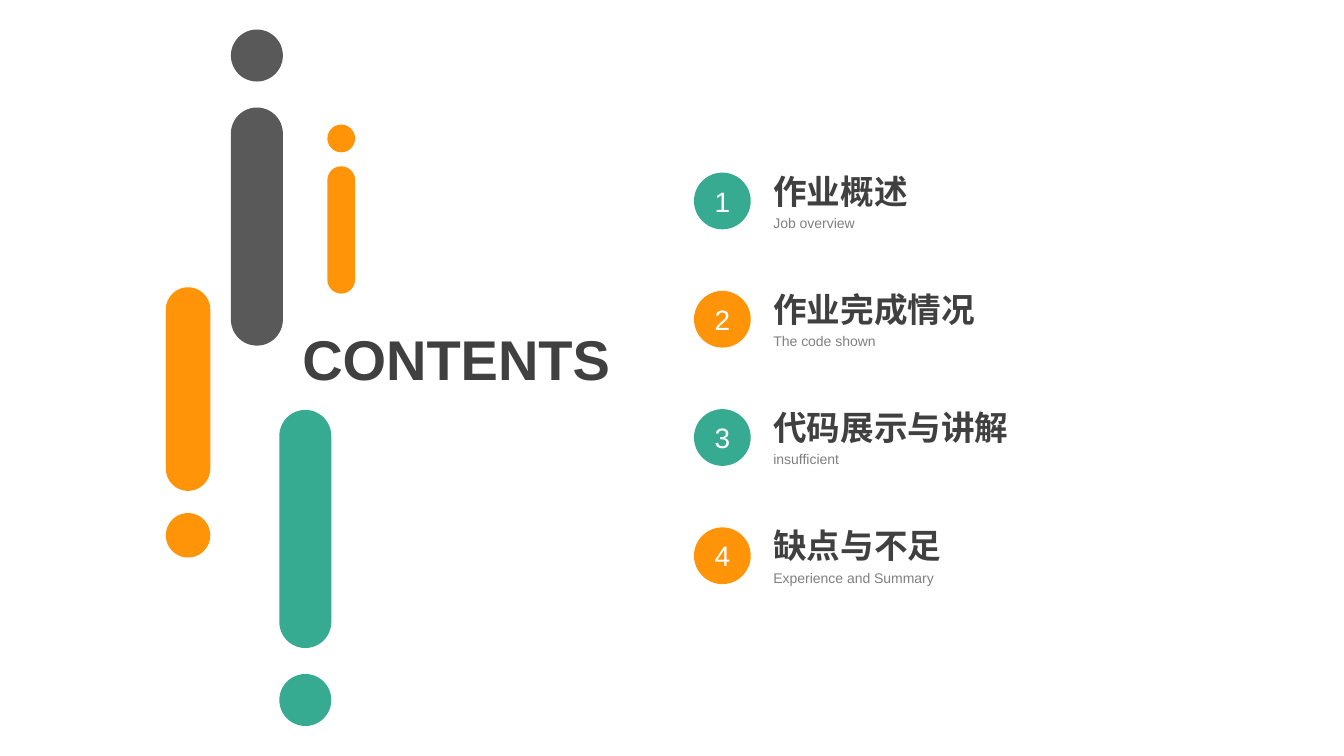
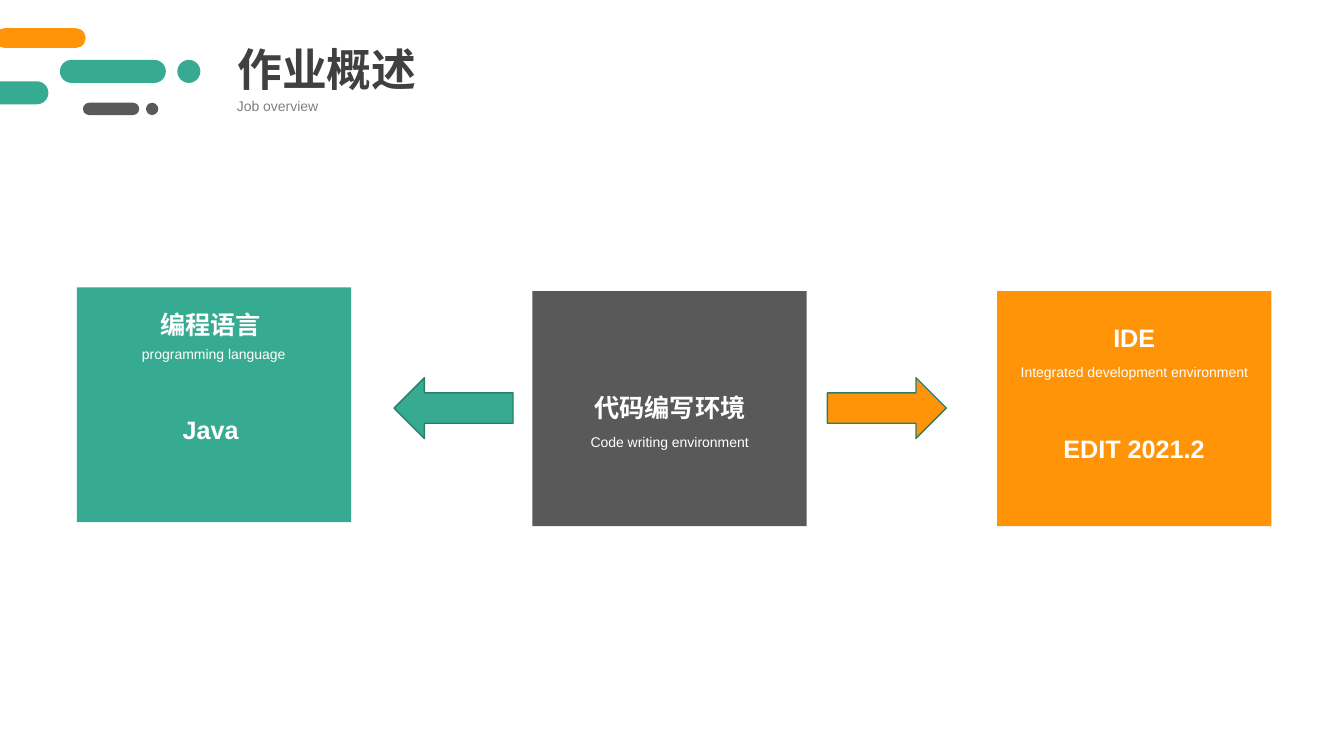
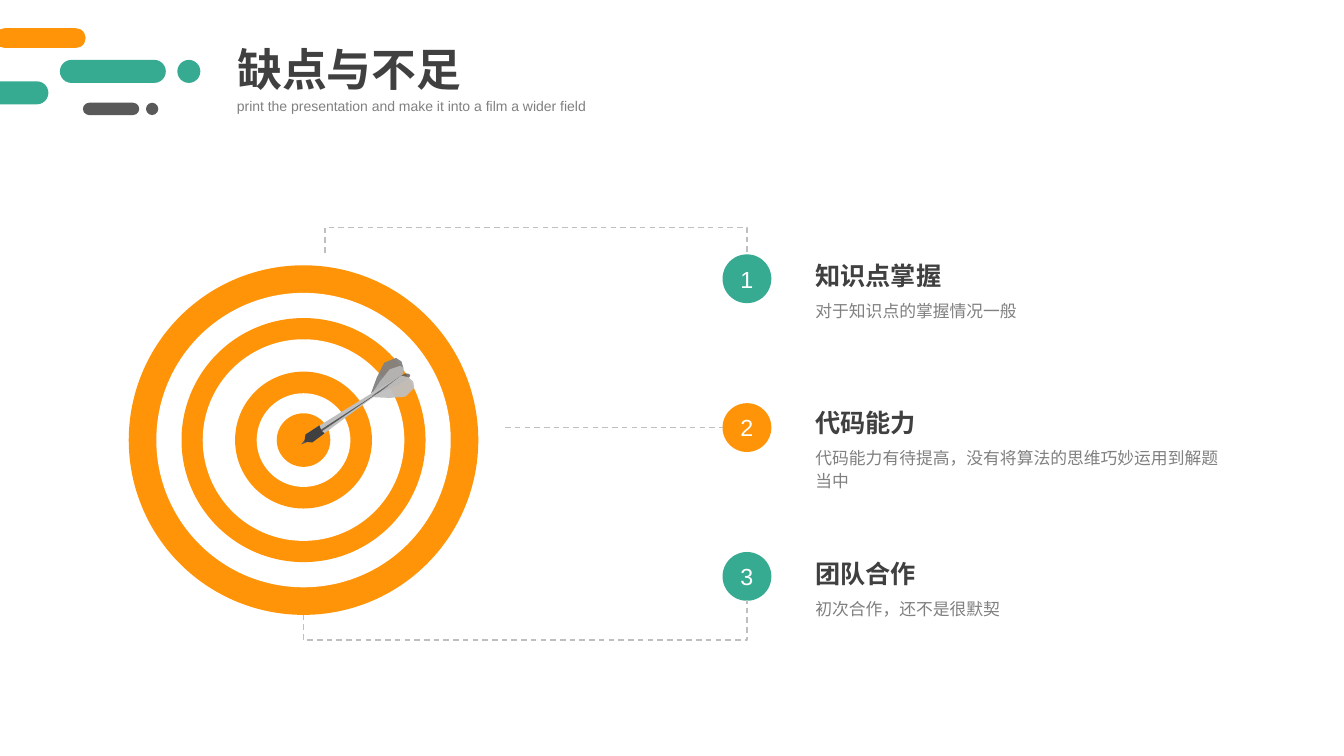
from math import comb
from pptx import Presentation
from pptx.dml.color import RGBColor
from pptx.enum.dml import MSO_LINE
from pptx.enum.shapes import MSO_CONNECTOR as LINK, MSO_SHAPE as SHAPE
from pptx.enum.text import MSO_ANCHOR as ANCHOR, PP_ALIGN as ALIGN
from pptx.oxml.ns import qn
from pptx.util import Cm, Pt
from lxml.etree import SubElement

TEAL = RGBColor(0x37, 0xAB, 0x91)
DARK_TEAL = RGBColor(0x29, 0x7F, 0x6B)
ORANGE = RGBColor(0xFF, 0x94, 0x09)
CHARCOAL = RGBColor(0x59, 0x59, 0x59)
INK = RGBColor(0x40, 0x40, 0x40)
GREY = RGBColor(0x80, 0x80, 0x80)
SILVER = RGBColor(0xBF, 0xBF, 0xBF)
WHITE = RGBColor(0xFF, 0xFF, 0xFF)
FONT = "Arial"
PILL, DOT = SHAPE.ROUNDED_RECTANGLE, SHAPE.OVAL


def place(page, kind, left, top, width, height, fill=None):
    frame = Cm(left), Cm(top), Cm(width), Cm(height)
    if kind is None:
        return page.shapes.add_textbox(*frame)
    shape = page.shapes.add_shape(kind, *frame)
    shape.shadow.inherit = False
    shape.fill.solid()
    shape.fill.fore_color.rgb = fill
    shape.line.fill.background()
    if kind == PILL:
        shape.adjustments[0] = 0.5
    return shape


def write(box, text, size, color, bold=False, align=ALIGN.LEFT, spacing=None, wrap=True):
    frame = box.text_frame
    frame.text = text
    frame.word_wrap = wrap
    frame.vertical_anchor = ANCHOR.TOP
    paragraph = frame.paragraphs[0]
    paragraph.alignment = align
    if spacing:
        paragraph.line_spacing = spacing
    font = paragraph.runs[0].font
    font.name, font.size, font.bold = FONT, Pt(size), bold
    font.color.rgb = color
    SubElement(paragraph.runs[0]._r.rPr, qn("a:ea")).set("typeface", FONT)
    if box.width == box.height:
        frame.margin_left = frame.margin_right = 0
        frame.margin_top = frame.margin_bottom = 0
        frame.vertical_anchor = ANCHOR.MIDDLE


deck = Presentation()
deck.slide_width, deck.slide_height = Cm(33.87), Cm(19.05)
contents, overview, shortcomings = [
    deck.slides.add_slide(deck.slide_layouts[6]) for _ in range(3)
]

for left, top, width, height, color, dot_above in [
    (5.82, 2.71, 1.31, 6, CHARCOAL, True),
    (8.25, 4.19, 0.7, 3.21, ORANGE, True),
    (7.04, 10.33, 1.31, 6, TEAL, False),
    (4.18, 7.24, 1.12, 5.13, ORANGE, False),
]:
    place(contents, PILL, left, top, width, height, color)
    dot_top = top - 1.5 * width if dot_above else top + height + width / 2
    place(contents, DOT, left, dot_top, width, width, color)

for index, (title, subtitle) in enumerate([
    ("作业概述", "Job overview"),
    ("作业完成情况", "The code shown"),
    ("代码展示与讲解", "insufficient"),
    ("缺点与不足", "Experience and Summary"),
]):
    top = 4.17 + 2.98 * index
    title_box = place(contents, None, 19.24, top, 0.55 + 0.85 * len(title), 1.27)
    write(title_box, title, 24, INK, True, wrap=False)
    write(place(contents, None, 19.24, top + 1.11, 11.05, 0.69), subtitle, 10, GREY)
    badge = place(contents, DOT, 17.49, top + 0.18, 1.43, 1.43, (TEAL, ORANGE)[index % 2])
    write(badge, str(index + 1), 20, WHITE, align=ALIGN.CENTER)

write(place(contents, None, 7.37, 8.06, 8.48, 1.96), "CONTENTS", 40, INK, True, wrap=False)

for page, title, subtitle in [
    (overview, "作业概述", "Job overview"),
    (shortcomings, "缺点与不足", "print the presentation and make it into a film a wider field"),
]:
    for kind, left, top, width, height, color in [
        (PILL, 1.51, 1.51, 2.67, 0.58, TEAL),
        (DOT, 4.47, 1.51, 0.58, 0.58, TEAL),
        (PILL, 2.09, 2.59, 1.42, 0.31, CHARCOAL),
        (DOT, 3.68, 2.59, 0.31, 0.31, CHARCOAL),
        (PILL, -0.43, 2.05, 1.65, 0.58, TEAL),
        (PILL, -0.13, 0.71, 2.29, 0.5, ORANGE),
    ]:
        place(page, kind, left, top, width, height, color)
    title_box = place(page, None, 5.73, 0.92, 0.55 + 1.13 * len(title), 1.63)
    write(title_box, title, 32, INK, True, wrap=False)
    write(place(page, None, 5.72, 2.33, 11.05, 0.69), subtitle, 10, GREY)

for left, top, color, kind, labels in [
    (13.42, 7.34, CHARCOAL, SHAPE.RECTANGLE, [
        ("代码编写环境", 14.56, 9.77, 4.65, True),
        ("Code writing environment", 13.85, 10.74, 6.05, False)]),
    (1.94, 7.24, TEAL, None, [
        ("Java", 2.77, 10.31, 5.08, True),
        ("编程语言", 2.98, 7.67, 4.65, True),
        ("programming language", 2.36, 8.53, 6.05, False)]),
    (25.13, 7.34, ORANGE, None, [
        ("EDIT 2021.2", 26.04, 10.8, 5.08, True),
        ("IDE", 26.26, 8, 4.65, True),
        ("Integrated development environment", 25.13, 8.97, 6.91, False)]),
]:
    place(overview, SHAPE.RECTANGLE, left, top, 6.91, 5.92, color)
    for text, text_left, text_top, width, heading in labels:
        label = place(overview, kind, text_left, text_top, width, 1.02 if heading else 0.71, color)
        write(label, text, 18 if heading else 10, WHITE, heading, ALIGN.CENTER,
              None if heading else 1.14)

for kind, left, color in [(SHAPE.LEFT_ARROW, 9.93, TEAL), (SHAPE.RIGHT_ARROW, 20.85, ORANGE)]:
    arrow = place(overview, kind, left, 9.52, 3, 1.53, color)
    arrow.line.color.rgb = DARK_TEAL
    arrow.line.width = Pt(1)

for index, size in enumerate([8.81, 7.42, 6.15, 5.08, 3.45, 2.36, 1.35]):
    place(shortcomings, DOT, 7.65 - size / 2, 11.09 - size / 2, size, size,
          (ORANGE, WHITE)[index % 2])

for color, opacity, start, segments in [
    (SILVER, 100, (10.16, 9.42), [
        [(7.77, 10.9)], [(7.7, 11)], [(7.75, 11.07)], [(7.82, 11.14)],
        [(8, 11.05)], [(10.16, 9.45)]]),
    (CHARCOAL, 80, (9.37, 9.98), [
        [(10.39, 9.6), (10.34, 9.47), (10.34, 9.45)],
        [(10.31, 9.42), (10.24, 9.37), (10.13, 9.45)]]),
    (GREY, 94, (9.35, 9.91), [
        [(9.5, 9.58), (9.6, 8.94), (9.98, 9.02)],
        [(10.16, 9.04), (10.21, 9.3), (10.13, 9.45)]]),
    (SILVER, 94, (9.4, 10.01), [
        [(9.78, 10.01), (10.36, 10.13), (10.44, 9.78)],
        [(10.49, 9.6), (10.29, 9.45), (10.11, 9.47)]]),
    (SILVER, 80, (9.37, 9.93), [
        [(9.53, 9.7), (9.83, 9.12), (10.08, 9.22)],
        [(10.13, 9.22), (10.24, 9.3), (10.13, 9.45)]]),
    (CHARCOAL, 100, (9.78, 9.73), [
        [(7.67, 11.1)], [(7.59, 11.2)], [(7.72, 11.15)], [(7.92, 11)]]),
    (INK, 100, (8.18, 10.92), [
        [(8.1, 10.85)], [(8.05, 10.72)], [(7.7, 10.95)],
        [(7.67, 11.13)], [(7.87, 11.15)]]),
]:
    outline = [start]
    for segment in segments:
        controls = [outline[-1]] + segment
        degree = len(segment)
        for step in range(1, degree + 1):
            t = step / degree
            weights = [comb(degree, k) * t**k * (1 - t)**(degree - k) for k in range(degree + 1)]
            outline.append(tuple(
                sum(weight * point[axis] for weight, point in zip(weights, controls))
                for axis in (0, 1)))
    points = [(Cm(x), Cm(y)) for x, y in outline]
    builder = shortcomings.shapes.build_freeform(*points[0], scale=1.0)
    builder.add_line_segments(points[1:], close=True)
    dart_part = builder.convert_to_shape()
    dart_part.shadow.inherit = False
    dart_part.fill.solid()
    dart_part.fill.fore_color.rgb = color
    dart_part.line.fill.background()
    if opacity < 100:
        tint = dart_part._element.spPr.find(qn("a:solidFill")).find(qn("a:srgbClr"))
        SubElement(tint, qn("a:alpha")).set("val", str(opacity * 1000))

for index, (title, detail, top, detail_height) in enumerate([
    ("知识点掌握", "对于知识点的掌握情况一般", 6.43, 0.79),
    ("代码能力", "代码能力有待提高，没有将算法的思维巧妙运用到解题当中", 10.14, 1.42),
    ("团队合作", "初次合作，还不是很默契", 13.95, 0.84),
]):
    badge = place(shortcomings, DOT, 18.21, 6.41 + 3.75 * index, 1.23, 1.23,
                  (TEAL, ORANGE)[index % 2])
    write(badge, str(index + 1), 16.6, WHITE, align=ALIGN.CENTER)
    write(place(shortcomings, None, 20.3, top, 5.92, 1.02), title, 18, INK, True)
    write(place(shortcomings, None, 20.3, top + 0.94, 10.95, detail_height),
          detail, 12, GREY, spacing=1.14)

leaders = [shortcomings.shapes.add_connector(
    LINK.STRAIGHT, Cm(12.73), Cm(10.77), Cm(18.21), Cm(10.77))]
for start_x, top, drop, turn, flips in [
    (8.19, 6.37, 0.05, 270, ["flipH"]),
    (7.65, 15.13, 0.36, 90, ["flipH", "flipV"]),
]:
    span = 18.83 - start_x
    middle_x, middle_y = start_x + span / 2, top + drop / 2
    leader = shortcomings.shapes.add_connector(
        LINK.ELBOW, Cm(middle_x - drop / 2), Cm(middle_y - span / 2),
        Cm(middle_x + drop / 2), Cm(middle_y + span / 2))
    properties = leader._element.spPr
    transform = properties.find(qn("a:xfrm"))
    transform.set("rot", str(turn * 60000))
    for flip in flips:
        transform.set(flip, "1")
    guides = properties.find(qn("a:prstGeom")).find(qn("a:avLst"))
    guide = SubElement(guides, qn("a:gd"))
    guide.set("name", "adj1")
    guide.set("fmla", f"val {round(-0.64 / drop * 100000)}")
    leaders.append(leader)

for leader in leaders:
    leader.line.color.rgb = SILVER
    leader.line.width = Pt(1)
    leader.line.dash_style = MSO_LINE.DASH
    SubElement(leader._element.spPr, qn("a:effectLst"))

deck.save("out.pptx")
